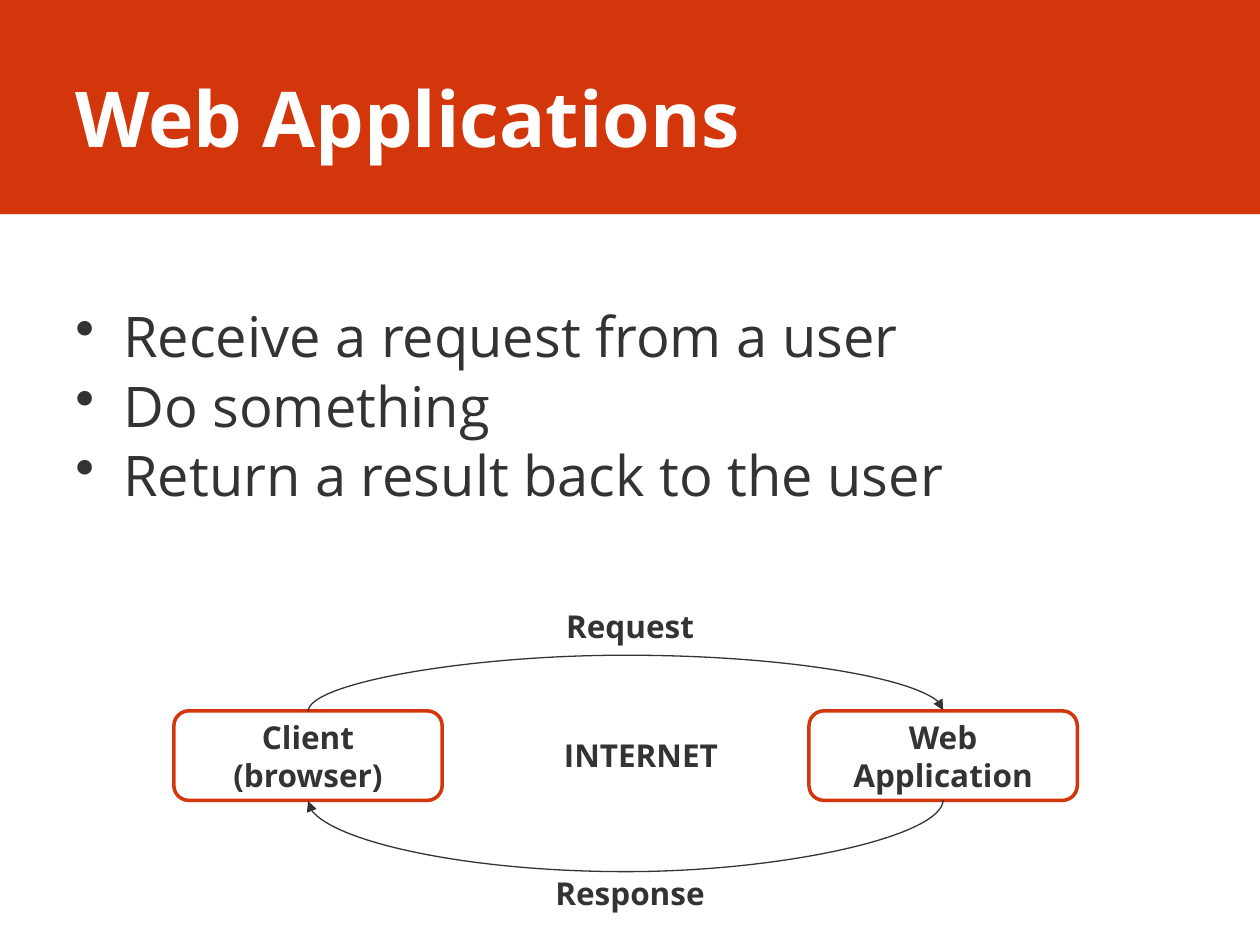
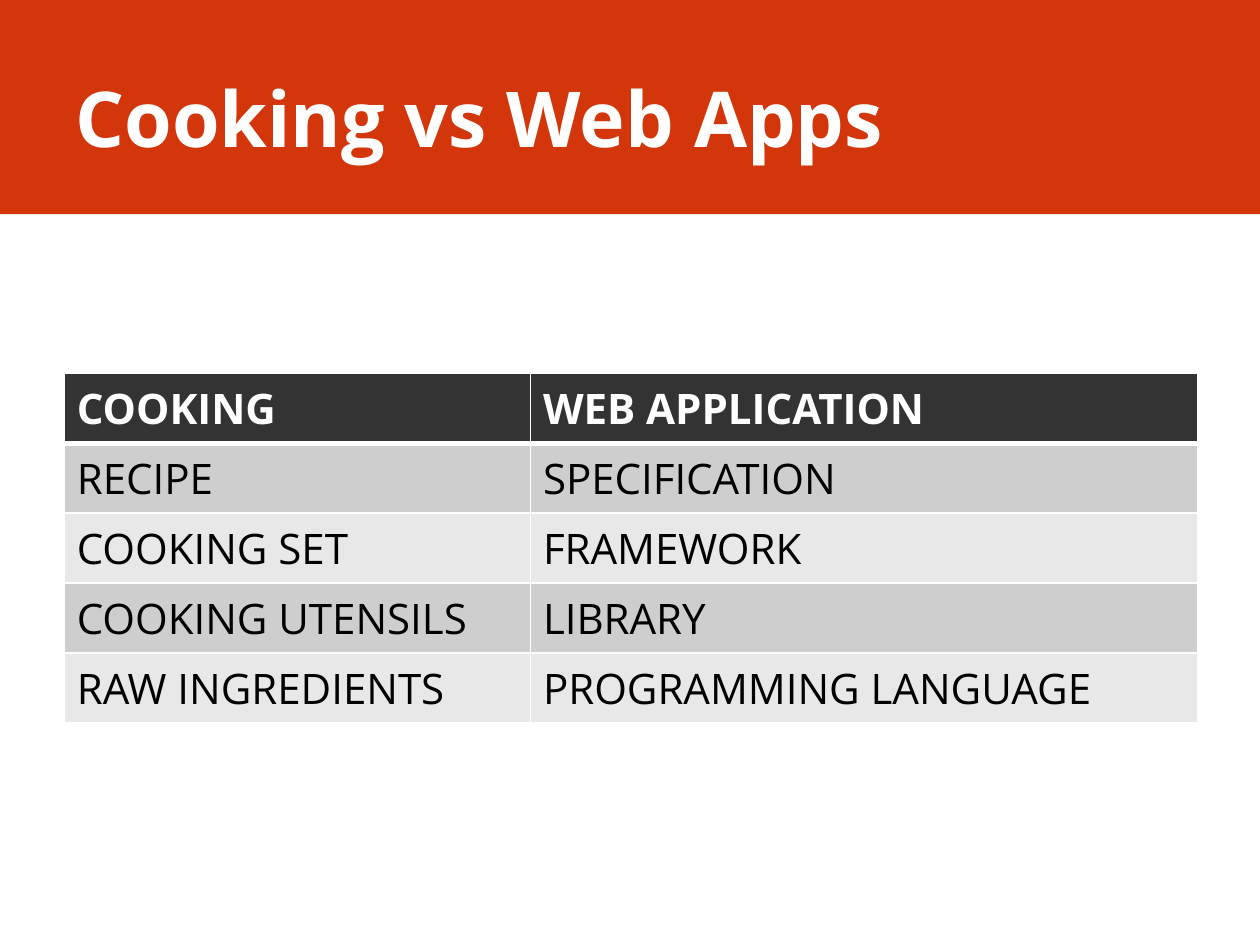
import dataclasses

import lxml.etree
import pptx
import pptx.dml.color
import pptx.enum.shapes
import pptx.enum.text
import pptx.oxml.ns
import pptx.util

qn = pptx.oxml.ns.qn
Sub = lxml.etree.SubElement
Pt = pptx.util.Pt
Inches = pptx.util.Inches
Kind = pptx.enum.shapes.MSO_SHAPE
Align = pptx.enum.text.PP_ALIGN
Anchor = pptx.enum.text.MSO_ANCHOR


@dataclasses.dataclass(frozen=True)
class Theme:
    font: str = "Open Sans"
    red: str = "D3360B"
    dark: str = "333333"
    white: str = "FFFFFF"
    black: str = "000000"
    bands: tuple = ("CECECE", "E8E8E8")
    title: int = 44
    body: int = 32
    cell: int = 24
    label: int = 18


@dataclasses.dataclass(frozen=True)
class Box:
    x: float
    y: float
    w: float
    h: float

    def inner(self, x, y, w, h):
        """Return an inner box, given in percent of this one."""
        return Box(self.x + self.w * x / 100, self.y + self.h * y / 100,
                   self.w * w / 100, self.h * h / 100)

    def place(self):
        return [Inches(v) for v in (self.x, self.y, self.w, self.h)]


T = Theme()
PAGE = Box(0, 0, 10, 7.5)


def rgb(color):
    return pptx.dml.color.RGBColor.from_string(color)


def write(frame, text, size=T.label, color=T.dark, bold=False, align=None,
          anchor=None, wrap=True, bullet=None, indent=0.38, before=0):
    """Fill a text frame, one paragraph a line."""
    frame.word_wrap = wrap
    if anchor is not None:
        frame.vertical_anchor = anchor
    for i, line in enumerate(text.split("\n")):
        para = frame.add_paragraph() if i else frame.paragraphs[0]
        para.alignment = align
        para.space_before = Pt(before)
        if bullet:
            props = para._p.get_or_add_pPr()
            props.set("marL", str(Inches(indent)))
            props.set("indent", str(-Inches(indent)))
            Sub(props, qn("a:buChar")).set("char", bullet)
        run = para.add_run()
        run.text = line
        font = run.font
        font.name, font.size, font.bold = T.font, Pt(size), bold
        font.color.rgb = rgb(color)


def label(slide, box, text, **form):
    write(slide.shapes.add_textbox(*box.place()).text_frame, text, **form)


def block(slide, box, kind, fill, line=None):
    shape = slide.shapes.add_shape(kind, *box.place())
    shape.shadow.inherit = False
    shape.fill.solid()
    shape.fill.fore_color.rgb = rgb(fill)
    if line:
        shape.line.color.rgb = rgb(line)
        shape.line.width = Pt(2)
    else:
        shape.line.fill.background()
    return shape


def header(slide, box, text):
    """Red band with the slide title."""
    block(slide, box, Kind.RECTANGLE, T.red)
    label(slide, box.inner(5, 17.65, 90, 73.5), text, size=T.title,
          color=T.white, bold=True, anchor=Anchor.MIDDLE)


def arc(slide, start, end, depth, up):
    """Curved arrow that bows by depth above or below its level ends."""
    thin = 0.01
    span = abs(end[0] - start[0])
    mid = (start[0] + end[0]) / 2
    wire = slide.shapes.add_connector(
        pptx.enum.shapes.MSO_CONNECTOR.CURVE,
        *[Inches(v) for v in (*start, *end)])
    # An upright thin frame, turned a quarter, lays the curve on its side
    frame = Box(mid - thin / 2, start[1] - span / 2, thin, span)
    wire.left, wire.top, wire.width, wire.height = frame.place()
    props = wire._element.spPr
    turn = props.find(qn("a:xfrm"))
    turn.set("rot", str(90 * 60000))
    for flip in ("flipH", "flipV"):
        turn.set(flip, str(int(up)))
    guides = props.find(qn("a:prstGeom")).find(qn("a:avLst"))
    guide = Sub(guides, qn("a:gd"))
    guide.set("name", "adj1")
    guide.set("fmla", f"val {round(depth / thin * 100000)}")
    wire.line.color.rgb = rgb(T.dark)
    wire.line.width = Pt(0.75)
    Sub(props.find(qn("a:ln")), qn("a:tailEnd")).set("type", "triangle")
    Sub(props, qn("a:effectLst"))


def cycle(slide, box):
    """Client and application, joined by request and response."""
    nodes = []
    for x, text in ((0, "Client\n(browser)"), (70.3, "Web Application")):
        node = box.inner(x, 34.6, 29.7, 28.2)
        shape = block(slide, node, Kind.ROUNDED_RECTANGLE, T.white, T.red)
        write(shape.text_frame, text, bold=True, align=Align.CENTER,
              anchor=Anchor.MIDDLE)
        nodes.append(node)
    left, right = [node.x + node.w / 2 for node in nodes]
    top = nodes[0].y
    base = top + nodes[0].h
    arc(slide, (left, top), (right, top), box.h * 0.18, True)
    arc(slide, (right, base), (left, base), box.h * 0.23, False)
    for x, y, text in ((40.5, 0, "Request"), (40.5, 84.1, "Response"),
                       (41.7, 40.5, "INTERNET")):
        label(slide, box.inner(x, y, 20, 16), text, bold=True,
              align=Align.CENTER, wrap=False)


def border(cell, base):
    """White cell borders, with the given width at the bottom."""
    props = cell._tc.get_or_add_tcPr()
    for i, (side, width) in enumerate(
            (("L", 1), ("R", 1), ("T", 1), ("B", base))):
        line = lxml.etree.Element(qn(f"a:ln{side}"), w=str(Pt(width)))
        fill = Sub(line, qn("a:solidFill"))
        Sub(fill, qn("a:srgbClr")).set("val", T.white)
        props.insert(i, line)


def grid(slide, box, rows, shares):
    """Table with a dark heading row and banded rows."""
    table = slide.shapes.add_table(
        len(rows), len(shares), *box.place()).table
    for col, share in zip(table.columns, shares):
        col.width = Inches(box.w * share / sum(shares))
    for r, row in enumerate(rows):
        head = r == 0
        for c, text in enumerate(row):
            cell = table.cell(r, c)
            cell.fill.solid()
            cell.fill.fore_color.rgb = rgb(
                T.dark if head else T.bands[(r - 1) % 2])
            border(cell, 3 if head else 1)
            write(cell.text_frame, text, size=T.cell, bold=head,
                  color=T.white if head else T.black)


def page(deck, title):
    slide = deck.slides.add_slide(deck.slide_layouts[6])
    header(slide, PAGE.inner(0, 0, 100, 22.67), title)
    return slide


def main():
    deck = pptx.Presentation()
    deck.slide_width, deck.slide_height = PAGE.place()[2:]

    # Request and response
    slide = page(deck, "Web Applications")
    label(slide, PAGE.inner(5, 31.3, 90, 32),
          "Receive a request from a user\nDo something\n"
          "Return a result back to the user",
          size=T.body, bullet="•", before=1.3)
    cycle(slide, PAGE.inner(13.8, 63.6, 71.7, 33.6))

    # Comparison table
    slide = page(deck, "Cooking vs Web Apps")
    grid(slide, PAGE.inner(5.1, 39.5, 90, 37), (
        ("COOKING", "WEB APPLICATION"),
        ("RECIPE", "SPECIFICATION"),
        ("COOKING SET", "FRAMEWORK"),
        ("COOKING UTENSILS", "LIBRARY"),
        ("RAW INGREDIENTS", "PROGRAMMING LANGUAGE"),
    ), (3.7, 5.3))

    deck.save("out.pptx")


if __name__ == "__main__":
    main()
